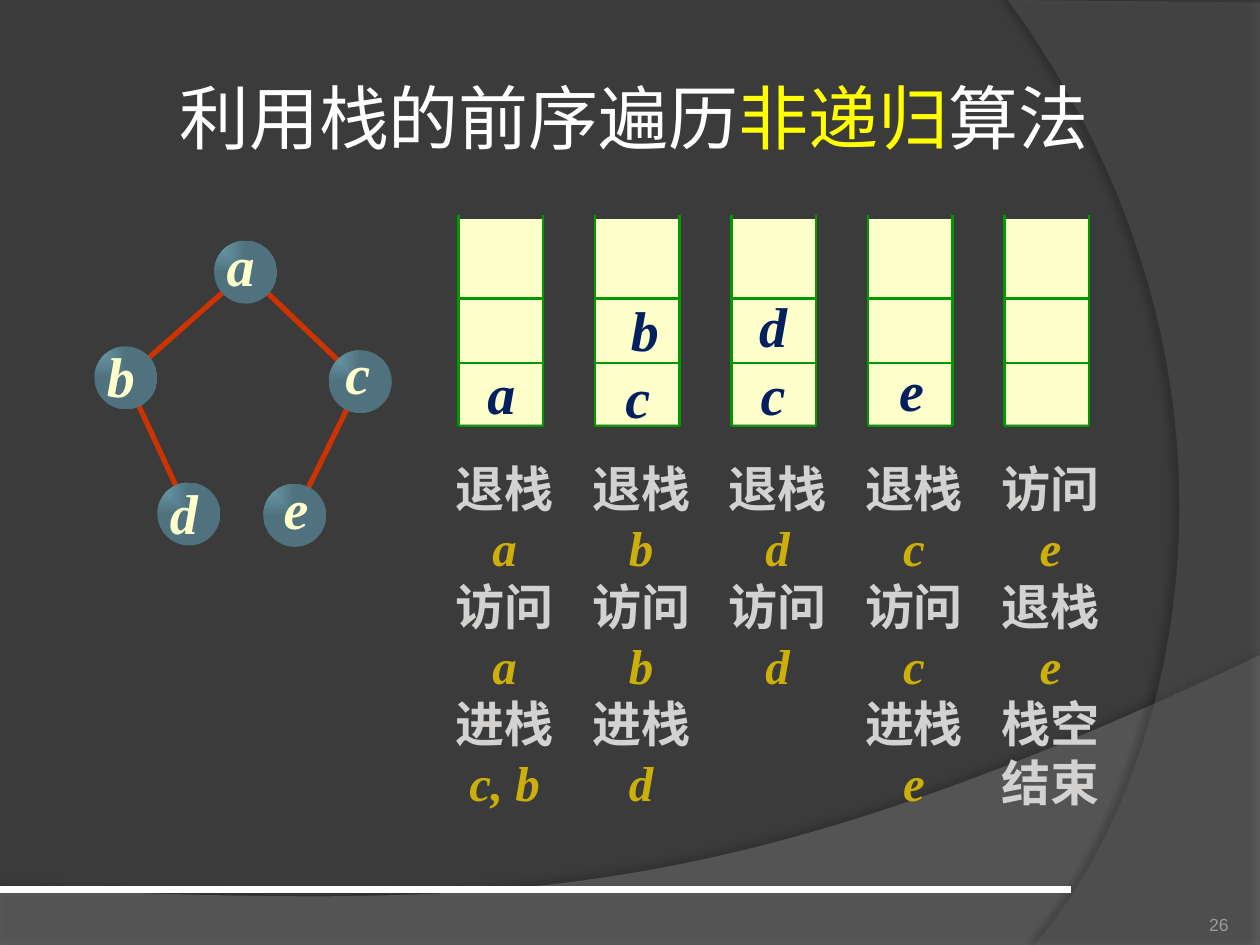
from dataclasses import dataclass

from lxml.etree import SubElement
from pptx import Presentation
from pptx.dml.color import RGBColor
from pptx.enum.shapes import MSO_CONNECTOR as Connector, MSO_SHAPE as Preset
from pptx.enum.text import MSO_ANCHOR as Anchor, PP_ALIGN as Align
from pptx.oxml.ns import qn
from pptx.util import Inches, Pt


@dataclass(frozen=True)
class Theme:
    """Colours, fonts and type sizes of the slide."""
    ground: str = "3B3B3B"
    wave: str = "7F7F7F"
    arc: str = "5E5E5E"
    white: str = "FFFFFF"
    accent: str = "FFFF00"
    number: str = "9D9B9A"
    edge: str = "CC3300"
    node_light: str = "6EA0B0"
    node_dark: str = "4F727E"
    cream: str = "FFFFCC"
    frame: str = "009900"
    entry: str = "002060"
    action: str = "D4D2D0"
    operand: str = "CCAF0A"
    title_font: str = "Cabin"
    body_font: str = "Times New Roman"
    number_font: str = "Arial"
    title_size: int = 40
    letter_size: int = 32
    log_size: int = 28
    number_size: int = 10


THEME = Theme()
COLUMNS, ROWS = 100, 75
PITCH = 10.83


def cells(count):
    """Turn grid cells into a length."""
    return Inches(count / 10)


@dataclass(frozen=True)
class Box:
    """A rectangle measured in grid cells."""
    left: float
    top: float
    width: float
    height: float

    def inner(self, across, down, width, height):
        """Return a box placed relative to this one."""
        return Box(self.left + across, self.top + down, width, height)

    def lengths(self):
        """Return left, top, width and height as lengths."""
        return [cells(n) for n in (self.left, self.top, self.width, self.height)]


def colour(code):
    """Return the colour for a hex code."""
    return RGBColor.from_string(code)


def add_line(shapes, start, end, code, weight):
    """Draw a straight line between two grid points."""
    line = shapes.add_connector(
        Connector.STRAIGHT, *(cells(n) for n in (*start, *end)))
    line.line.color.rgb = colour(code)
    line.line.width = Pt(weight)
    SubElement(line._element.spPr, qn("a:effectLst"))


def add_text(shapes, box, paras, font, size, bold=False, anchor=Anchor.MIDDLE,
             align=Align.CENTER, wrap=False, inset=None, indent=0):
    """Write paragraphs of (text, colour, italic) spans in a text box."""
    frame = shapes.add_textbox(*box.lengths()).text_frame
    frame.word_wrap = wrap
    frame.vertical_anchor = anchor
    if inset is not None:
        frame.margin_left = frame.margin_right = cells(inset)
        frame.margin_top = frame.margin_bottom = cells(inset)
    for index, spans in enumerate(paras):
        para = frame.add_paragraph() if index else frame.paragraphs[0]
        para.alignment = align
        if indent and not index:
            para._p.get_or_add_pPr().set("marL", str(cells(indent)))
        for text, code, italic in spans:
            span = para.add_run()
            span.text = text
            span.font.name = font
            span.font.size = Pt(size)
            span.font.bold = bold
            span.font.italic = italic
            span.font.color.rgb = colour(code)


def add_letters(shapes, box, letters, code, indent=0):
    """Write bold italic letters, one to a paragraph."""
    add_text(shapes, box, [[(letter, code, True)] for letter in letters],
             THEME.body_font, THEME.letter_size, bold=True, indent=indent)


def curve(points, steps=48):
    """Sample a cubic curve given by its four control points."""
    samples = []
    for step in range(steps + 1):
        t = step / steps
        weights = ((1 - t) ** 3, 3 * t * (1 - t) ** 2, 3 * t * t * (1 - t), t ** 3)
        samples.append(tuple(sum(w * p[axis] for w, p in zip(weights, points))
                             for axis in (0, 1)))
    return samples


def add_veil(page, points, code, opacity, shade, distance, direction):
    """Draw a translucent outline with a soft shadow; opacities in percent."""
    corners = [(cells(x), cells(y)) for x, y in points]
    builder = page.shapes.build_freeform(*corners[0])
    builder.add_line_segments(corners[1:])
    veil = builder.convert_to_shape()
    veil.fill.solid()
    veil.fill.fore_color.rgb = colour(code)
    veil.line.fill.background()
    veil.shadow.inherit = False
    properties = veil._element.spPr
    tint = properties.find(qn("a:solidFill")).find(qn("a:srgbClr"))
    SubElement(tint, qn("a:alpha"), val=str(opacity * 1000))
    shadow = SubElement(
        properties.find(qn("a:effectLst")), qn("a:outerShdw"), blurRad=str(Pt(4)),
        dist=str(Pt(distance)), dir=str(direction * 60000), rotWithShape="0")
    dark = SubElement(shadow, qn("a:srgbClr"), val="000000")
    SubElement(dark, qn("a:alpha"), val=str(shade * 1000))


def add_backdrop(page, box):
    """Place the background, the two veils and the footer rule."""
    page.background.fill.solid()
    page.background.fill.fore_color.rgb = colour(THEME.ground)
    right, bottom = box.width, box.height
    wave = curve([(right, 52), (55.9, 72.9), (39.1, 71.9), (0, 70.5)])
    add_veil(page, [(0, bottom), (right, bottom), *wave],
             THEME.wave, 45, 35, 3.5, 270)
    arc = curve([(82.1, bottom), (93.5, 61.9), (101.8, 30), (80, 0)])
    add_veil(page, [(right, 0.2), (right, bottom), *arc],
             THEME.arc, 40, 45, 4, 180)
    add_line(page.shapes, (0, 70.6), (85, 70.6), THEME.white, 4.5)


def add_title(page, box):
    """Write the title with its highlighted words."""
    spans = [("利用栈的前序遍历", THEME.white, False),
             ("非递归", THEME.accent, False), ("算法", THEME.white, False)]
    add_text(page.shapes, box, [spans], THEME.title_font, THEME.title_size,
             wrap=True, inset=0.5)


def add_tree(page, box):
    """Draw the binary tree as one group of edges, nodes and letters."""
    shapes = page.shapes.add_group_shape().shapes
    size = 5
    places = {"a": (9.5, 0), "b": (0, 8.4), "e": (13.4, 19.3),
              "c": (18.6, 8.7), "d": (5, 19.2)}
    labels = {"a": (0, -1.3), "b": (0, -0.9), "c": (0.2, -1.4),
              "d": (0, -0.8), "e": (0.5, -1.3)}
    nodes = {name: box.inner(*place, size, size) for name, place in places.items()}
    for parent, child in ("ce", "bd", "ac", "ab"):
        first, last = [(nodes[name].left + size / 2, nodes[name].top + size / 2)
                       for name in (parent, child)]
        start, end = [tuple(p + (q - p) * share for p, q in zip(first, last))
                      for share in (0.1, 0.9)]
        add_line(shapes, start, end, THEME.edge, 3)
    for node in nodes.values():
        disc = shapes.add_shape(Preset.OVAL, *node.lengths())
        disc.shadow.inherit = False
        disc.line.fill.background()
        disc.fill.gradient()
        for stop, code in zip(disc.fill.gradient_stops,
                              (THEME.node_light, THEME.node_dark)):
            stop.color.rgb = colour(code)
        gradient = disc._element.spPr.find(qn("a:gradFill"))
        gradient.remove(gradient.find(qn("a:lin")))
        shade = SubElement(gradient, qn("a:path"), {"path": "rect"})
        SubElement(shade, qn("a:fillToRect"), r="100000", b="100000")
    for name, offset in labels.items():
        add_letters(shapes, nodes[name].inner(*offset, 4.2, 6.3), name, THEME.cream)


def add_stack(page, box, letters, place, indent):
    """Draw one open-topped stack and the letters it holds."""
    shapes = page.shapes
    body = shapes.add_shape(
        Preset.RECTANGLE, *box.inner(0, 0.3, box.width, box.height - 0.4).lengths())
    body.shadow.inherit = False
    body.fill.solid()
    body.fill.fore_color.rgb = colour(THEME.cream)
    body.line.fill.background()
    right, bottom = box.left + box.width, box.top + box.height
    for x in (box.left, right):
        add_line(shapes, (x, box.top), (x, bottom), THEME.frame, 1.5)
    for y in (box.top + 6.6, box.top + 11.7, bottom):
        add_line(shapes, (box.left, y), (right, y), THEME.frame, 1.5)
    if letters:
        add_letters(shapes, box.inner(*place), letters, THEME.entry, indent)


def add_log(page, box, words):
    """List the steps taken on one stack."""
    paras = [[(word, THEME.operand if word.isascii() else THEME.action,
               word.isascii())] for word in words.split("|")]
    add_text(page.shapes, box, paras, THEME.body_font, THEME.log_size,
             bold=True, anchor=Anchor.TOP)


def add_stages(page, box):
    """Set the five stacks and their step lists side by side."""
    stages = [
        ("a", (0.5, 10.8, 5.8, 6.4), 0, "退栈|a|访问|a|进栈|c, b"),
        ("bc", (-0.6, 5.8, 8, 11.8), 1.1, "退栈|b|访问|b|进栈|d"),
        ("dc", (0.4, 5.5, 5.8, 11.8), 0, "退栈|d|访问|d"),
        ("e", (0.7, 10.6, 5.5, 6.4), 0, "退栈|c|访问|c|进栈|e"),
        ("", None, 0, "访问|e|退栈|e|栈空|结束"),
    ]
    for index, (letters, place, indent, words) in enumerate(stages):
        across = index * PITCH
        add_stack(page, box.inner(across, 0, 6.7, 16.7), letters, place, indent)
        height = 1 + 4.7 * len(words.split("|"))
        add_log(page, box.inner(across - 1.3, 18.8, 9.9, height), words)


def add_number(page, box):
    """Write the slide number."""
    add_text(page.shapes, box, [[("26", THEME.number, False)]], THEME.number_font,
             THEME.number_size, anchor=Anchor.BOTTOM, align=Align.RIGHT,
             wrap=True, inset=0)


def main():
    """Build the slide and save it."""
    deck = Presentation()
    deck.slide_width, deck.slide_height = cells(COLUMNS), cells(ROWS)
    page = deck.slides.add_slide(deck.slide_layouts[6])
    add_backdrop(page, Box(0, 0, COLUMNS, ROWS))
    add_title(page, Box(5.3, 4, 90, 10.5))
    add_tree(page, Box(7.5, 19.1, 23.6, 24.3))
    add_stages(page, Box(36.4, 17.1, 50, 48))
    add_number(page, Box(89.2, 70.2, 8.3, 4))
    deck.save("out.pptx")


if __name__ == "__main__":
    main()
